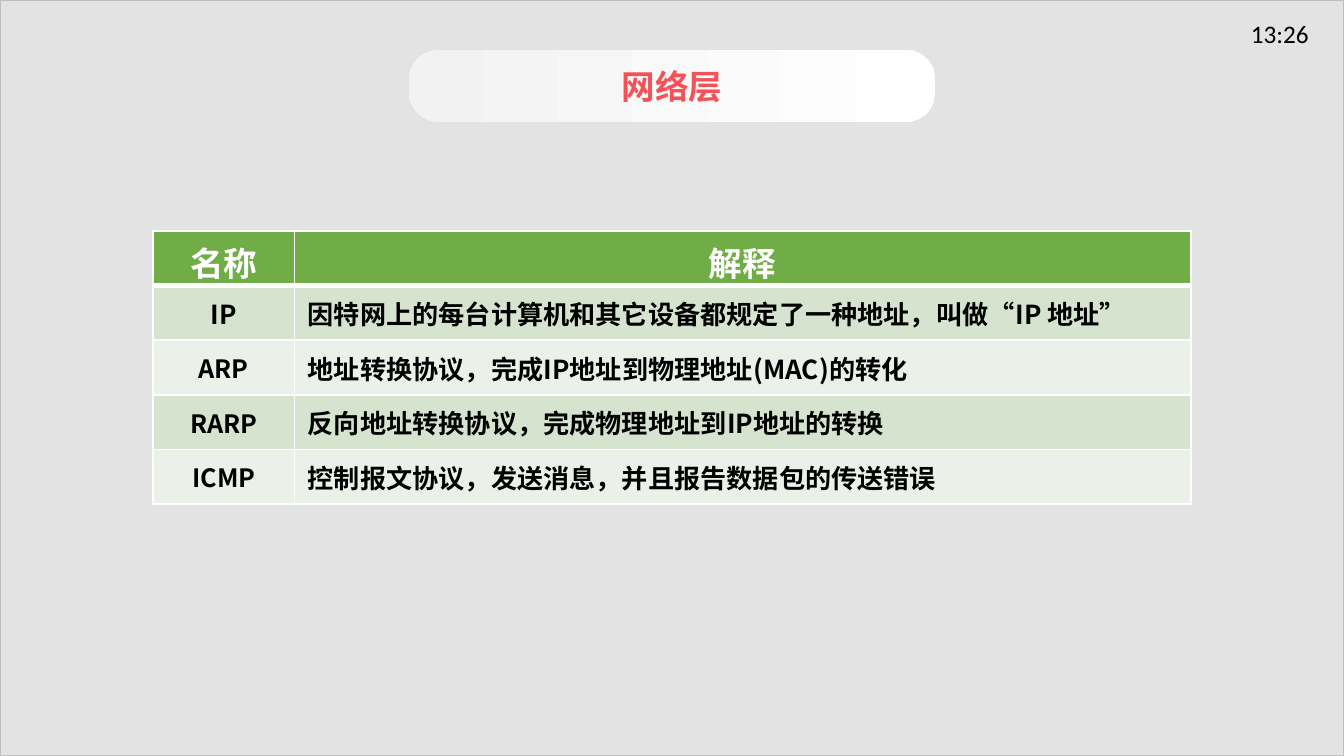
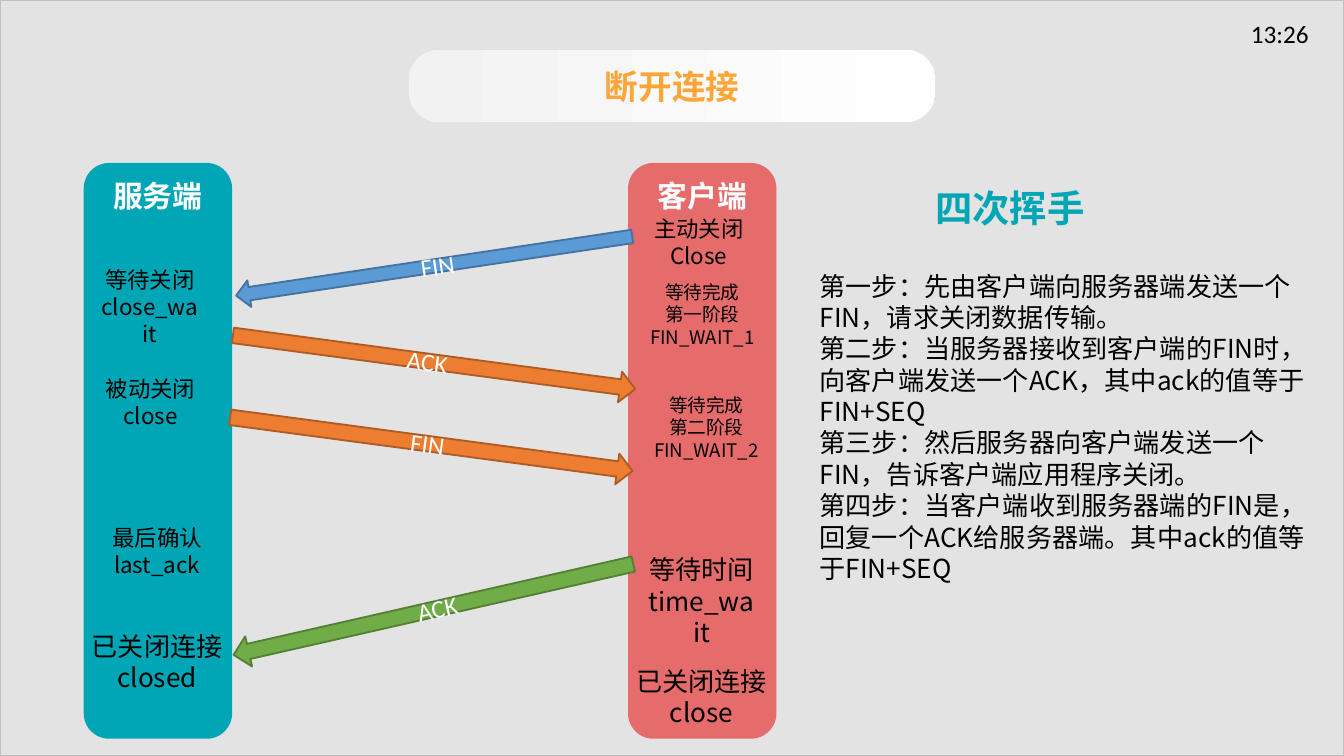
from lxml import etree
from pptx import Presentation
from pptx.dml.color import RGBColor
from pptx.enum import shapes, text
from pptx.oxml import ns
from pptx.util import Inches, Pt

BLACK = RGBColor(0x00, 0x00, 0x00)
WHITE = RGBColor(0xFF, 0xFF, 0xFF)
GREY = RGBColor(0x80, 0x80, 0x80)
FRAME = RGBColor(0xBF, 0xBF, 0xBF)
PILL = RGBColor(0xF2, 0xF2, 0xF2)
RED = RGBColor(0xF4, 0x51, 0x59)
AMBER = RGBColor(0xFF, 0xA5, 0x38)
TEAL = RGBColor(0x00, 0xA6, 0xB6)
CORAL = RGBColor(0xE6, 0x6B, 0x6B)
BLUE = RGBColor(0x5B, 0x9B, 0xD5)
BLUE_EDGE = RGBColor(0x43, 0x73, 0x9E)
ORANGE = RGBColor(0xED, 0x7D, 0x31)
ORANGE_EDGE = RGBColor(0xAF, 0x5C, 0x24)
GREEN = RGBColor(0x70, 0xAD, 0x47)
GREEN_EDGE = RGBColor(0x53, 0x80, 0x35)
BAND_DARK = RGBColor(0xD5, 0xE3, 0xCF)
BAND_LIGHT = RGBColor(0xEB, 0xF1, 0xE9)

CJK = "Noto Sans CJK SC"
LATIN = "Calibri"
CENTER, LEFT = text.PP_ALIGN.CENTER, text.PP_ALIGN.LEFT
MIDDLE = text.MSO_ANCHOR.MIDDLE
SHAPE = shapes.MSO_SHAPE

deck = Presentation()
deck.slide_width = Inches(10)
deck.slide_height = deck.slide_width * 9 // 16


def write(frame, lines, size, color=BLACK, font=CJK, bold=False, align=CENTER):
    """Fill a text frame with one paragraph per line, all in one style."""
    for number, line in enumerate(lines):
        para = frame.add_paragraph() if number else frame.paragraphs[0]
        para.alignment = align
        span = para.add_run()
        span.text = line
        span.font.size, span.font.bold, span.font.name = Pt(size), bold, font
        span.font.color.rgb = color
        east_asian = etree.SubElement(span.font._element, ns.qn("a:ea"))
        east_asian.set("typeface", CJK)


def add_titled_page(title, color):
    page = deck.slides.add_slide(deck.slide_layouts[6])
    backdrop = page.shapes.add_shape(SHAPE.RECTANGLE, 0, 0, deck.slide_width, deck.slide_height)
    backdrop.shadow.inherit = False
    backdrop.fill.solid()
    backdrop.fill.fore_color.rgb = GREY
    tint = backdrop._element.spPr.find(".//" + ns.qn("a:srgbClr"))
    etree.SubElement(tint, ns.qn("a:alpha")).set("val", "22000")
    backdrop.line.color.rgb, backdrop.line.width = FRAME, Pt(1)

    clock = page.shapes.add_textbox(Inches(9.21), Inches(0.09), Inches(0.67), Inches(0.28))
    clock.text_frame.word_wrap = False
    write(clock.text_frame, ["13:26"], 13.5, font=LATIN, align=LEFT)

    pill = page.shapes.add_shape(
        SHAPE.ROUNDED_RECTANGLE, Inches(3.04), Inches(0.37), Inches(3.92), Inches(0.54))
    pill.shadow.inherit = False
    pill.adjustments[0] = 0.42
    pill.fill.gradient()
    pill.fill.gradient_angle = 0
    for stop, shade, position in zip(pill.fill.gradient_stops, (PILL, WHITE), (0, 0.99)):
        stop.color.rgb, stop.position = shade, position
    pill.line.fill.background()
    pill.text_frame.vertical_anchor = MIDDLE
    write(pill.text_frame, [title], 18, color, bold=True)
    return page


# Network layer protocols
page = add_titled_page("网络层", RED)
protocols = [
    ("名称", "解释"),
    ("IP", "因特网上的每台计算机和其它设备都规定了一种地址，叫做“IP 地址”"),
    ("ARP", "地址转换协议，完成IP地址到物理地址(MAC)的转化"),
    ("RARP", "反向地址转换协议，完成物理地址到IP地址的转换"),
    ("ICMP", "控制报文协议，发送消息，并且报告数据包的传送错误"),
]
row_height = 2.03 / len(protocols)
table = page.shapes.add_table(
    len(protocols), 2, Inches(1.14), Inches(1.72), Inches(7.72), Inches(2.03)).table
table.columns[0].width, table.columns[1].width = Inches(1.05), Inches(6.67)
for row, texts in enumerate(protocols):
    table.rows[row].height = Inches(row_height)
    for column, words in enumerate(texts):
        cell = table.cell(row, column)
        cell.vertical_anchor = MIDDLE
        if row == 0:
            cell.margin_bottom = 0
            size, color, fill = 18, WHITE, GREEN
        else:
            size = 13.5 if column == 0 and row in (2, 4) else 14
            if row == 3 and column == 0:
                size = 13.5
            color, fill = BLACK, BAND_DARK if row % 2 else BAND_LIGHT
        write(cell.text_frame, [words], size, color, bold=True,
              align=LEFT if row and column else CENTER)
        for side in ("lnL", "lnR", "lnT", "lnB"):
            heavy = (row == 0 and side == "lnB") or (row == 1 and side == "lnT")
            border = etree.SubElement(cell._tc.get_or_add_tcPr(), ns.qn("a:" + side))
            border.set("w", str(Pt(3 if heavy else 1)))
            paint = etree.SubElement(border, ns.qn("a:solidFill"))
            etree.SubElement(paint, ns.qn("a:srgbClr")).set("val", str(WHITE))
        cell.fill.solid()
        cell.fill.fore_color.rgb = fill

# Closing a connection
page = add_titled_page("断开连接", AMBER)
for name, left, color in [("服务端", 0.63, TEAL), ("客户端", 4.68, CORAL)]:
    host = page.shapes.add_shape(
        SHAPE.ROUNDED_RECTANGLE, Inches(left), Inches(1.22), Inches(1.09), Inches(4.27))
    host.shadow.inherit = False
    host.fill.solid()
    host.fill.fore_color.rgb = color
    host.line.color.rgb, host.line.width = color, Pt(1)
    host.text_frame.vertical_anchor = text.MSO_ANCHOR.TOP
    write(host.text_frame, [name], 16, WHITE, LATIN, bold=True)

messages = [
    ("FIN", SHAPE.LEFT_ARROW, 1.74, 1.88, 2.98, 0.2, -8.5, BLUE, BLUE_EDGE),
    ("ACK ", SHAPE.RIGHT_ARROW, 1.72, 2.58, 3.02, 0.23, 7.6, ORANGE, ORANGE_EDGE),
    ("FIN", SHAPE.RIGHT_ARROW, 1.7, 3.19, 3.02, 0.23, 7.6, ORANGE, ORANGE_EDGE),
    ("ACK", SHAPE.LEFT_ARROW, 1.7, 4.42, 3.05, 0.23, -12.8, GREEN, GREEN_EDGE),
]
for label, kind, left, top, width, height, angle, color, edge in messages:
    arrow = page.shapes.add_shape(kind, Inches(left), Inches(top), Inches(width), Inches(height))
    arrow.shadow.inherit = False
    arrow.rotation = angle
    arrow.fill.solid()
    arrow.fill.fore_color.rgb = color
    arrow.line.color.rgb, arrow.line.width = edge, Pt(1)
    arrow.text_frame.vertical_anchor = MIDDLE
    write(arrow.text_frame, [label], 13.5, WHITE, LATIN)

states = [
    (0.65, 1.93, 0.93, 12, ["等待关闭", "close_wait"]),
    (0.68, 2.74, 0.88, 12, ["被动关闭", "close"]),
    (0.73, 3.85, 0.88, 12, ["最后确认", "last_ack"]),
    (0.58, 4.64, 1.18, 14, ["已关闭连接", "closed"]),
    (4.76, 1.55, 0.88, 12, ["主动关闭", "Close"]),
    (4.72, 2.04, 1.01, 10, ["等待完成", "第一阶段", "FIN_WAIT_1"]),
    (4.75, 2.88, 1.01, 10, ["等待完成", "第二阶段", "FIN_WAIT_2"]),
    (4.71, 4.07, 1.02, 14, ["等待时间", "time_wait"]),
    (4.63, 4.9, 1.18, 14, ["已关闭连接", "close"]),
]
state_heights = {10: 0.61, 12: 0.5, 14: 0.57}
for left, top, width, size, lines in states:
    box = page.shapes.add_textbox(
        Inches(left), Inches(top), Inches(width), Inches(state_heights[size]))
    box.text_frame.word_wrap = True
    write(box.text_frame, lines, size)

heading = page.shapes.add_textbox(Inches(6.58), Inches(1.33), Inches(1.87), Inches(0.44))
heading.text_frame.word_wrap = True
write(heading.text_frame, ["四次挥手"], 20, TEAL, bold=True)

steps = page.shapes.add_textbox(Inches(6), Inches(1.96), Inches(3.92), Inches(2.46))
steps.text_frame.word_wrap = True
write(steps.text_frame, [
    "第一步：先由客户端向服务器端发送一个FIN，请求关闭数据传输。",
    "第二步：当服务器接收到客户端的FIN时，向客户端发送一个ACK，其中ack的值等于FIN+SEQ",
    "第三步：然后服务器向客户端发送一个FIN，告诉客户端应用程序关闭。",
    "第四步：当客户端收到服务器端的FIN是，回复一个ACK给服务器端。其中ack的值等于FIN+SEQ",
], 14, align=LEFT)

deck.save("out.pptx")
